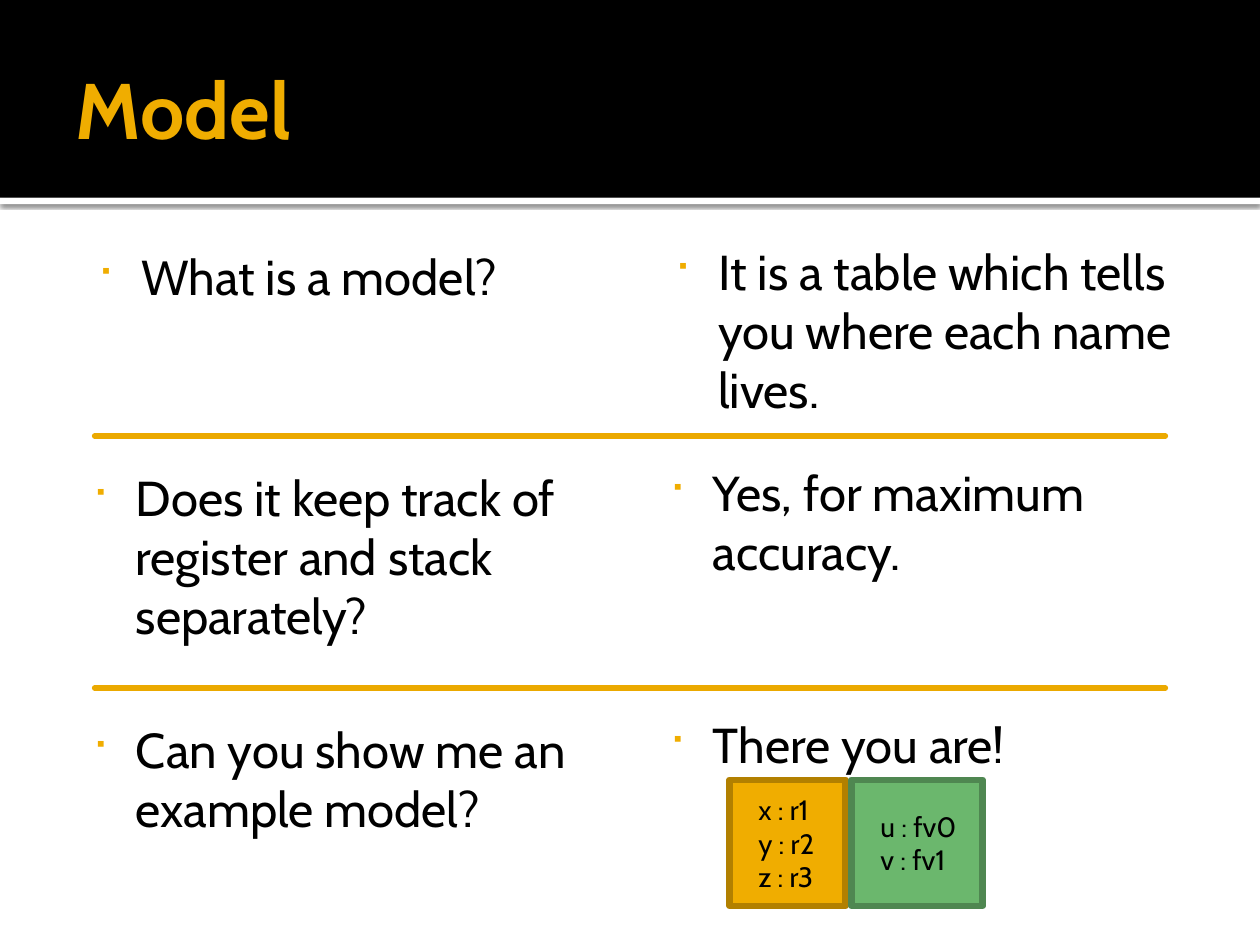
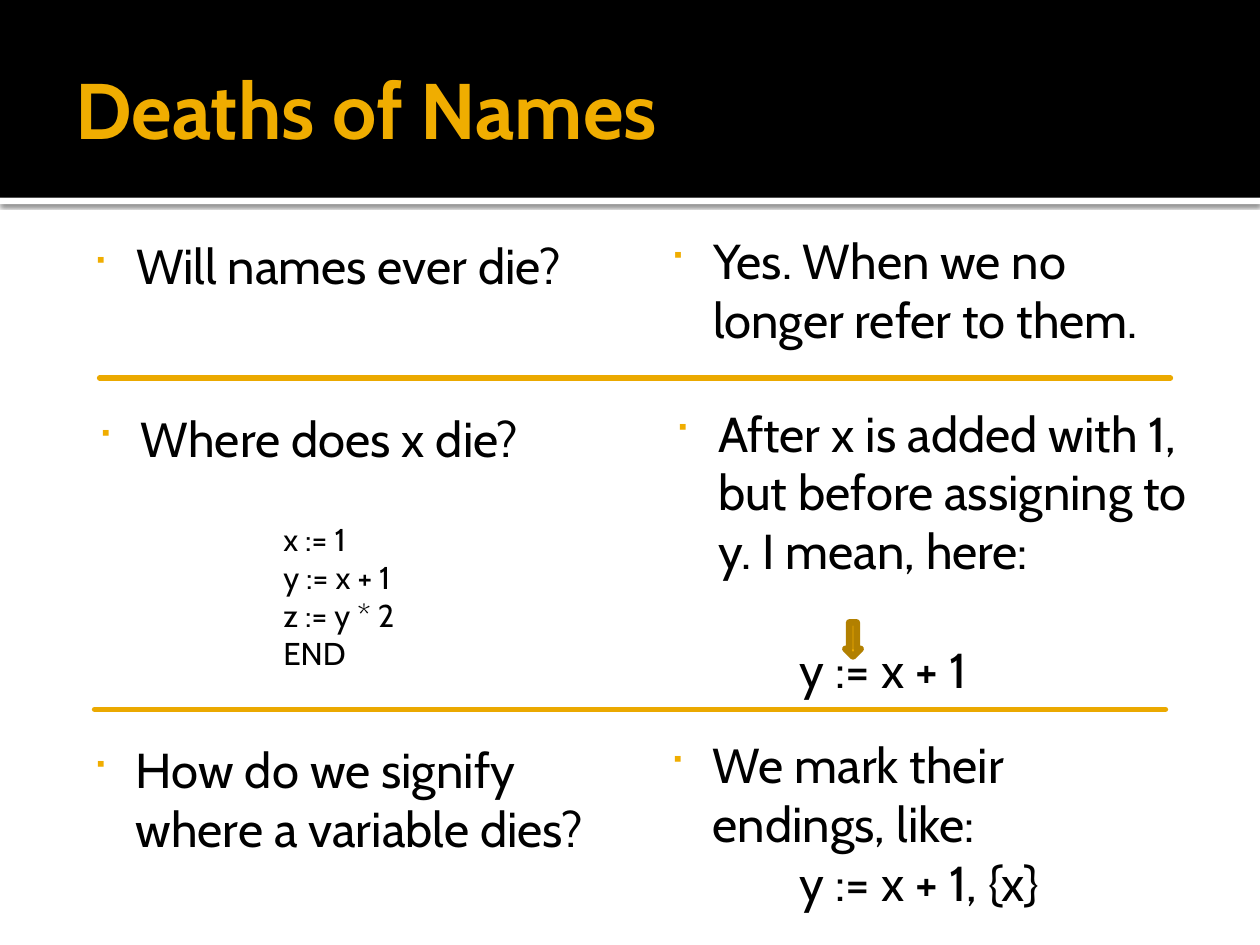
from dataclasses import dataclass

from lxml import etree
from pptx import Presentation
from pptx.dml.color import RGBColor
from pptx.enum import shapes, text
from pptx.oxml import ns
from pptx.util import Inches, Pt

FONT = "Cabin"
BLACK, WHITE = "000000", "FFFFFF"
GOLD, DARK_GOLD, RULE_GOLD = "F0AD00", "B28000", "EBA900"
GREEN, DARK_GREEN = "6BB76D", "4F8751"
BAND_HEIGHT = 1.57
ROW_WIDTH = 8.5
COLUMN_WIDTH, COLUMN_STEP = 4.42, 4.58
ANSWER_RISE = 0.04
LABEL_INDENT = 0.13


@dataclass
class CodeLine:
    """Unbulleted line below an answer."""
    words: str
    indent: float
    gap: float = 0


@dataclass
class Row:
    left: float
    top: float
    question: str
    answer: str
    height: float = 1.56
    code: CodeLine | None = None


@dataclass
class Label:
    left: float
    top: float
    width: float
    height: float
    lines: list[str]
    size: float
    fill: str | None = None
    edge: str | None = None


@dataclass
class Lesson:
    title: str
    rows: list[Row]
    rules: list[tuple[float, float]]
    labels: list[Label]
    arrow: tuple[float, float] | None = None


LESSONS = [
    Lesson(
        "Model",
        [
            Row(0.54, 1.86, "What is a model?",
                "It is a table which tells you where each name lives."),
            Row(0.5, 3.61, "Does it keep track of register and stack separately?",
                "Yes, for maximum accuracy."),
            Row(0.5, 5.61, "Can you show me an example model?", "There you are!"),
        ],
        [(0.75, 3.46), (0.75, 5.46)],
        [
            Label(5.79, 6.19, 0.92, 1, ["x : r1", "y : r2", "z : r3"], 16, GOLD, DARK_GOLD),
            Label(6.76, 6.19, 1.04, 1, ["u : fv0", "v : fv1"], 16, GREEN, DARK_GREEN),
        ],
    ),
    Lesson(
        "Deaths of Names",
        [
            Row(0.5, 1.77, "Will names ever die?",
                "Yes. When we no longer refer to them."),
            Row(0.54, 3.14, "Where does x die?",
                "After x is added with 1, but before assigning to y. I mean, here:",
                2.74, CodeLine("y := x + 1", 1.13, 34)),
            Row(0.5, 5.77, "How do we signify where a variable dies?",
                "We mark their endings, like:",
                code=CodeLine("y := x + 1, {x}", 1.17)),
        ],
        [(0.79, 3), (0.75, 5.63)],
        [Label(2.02, 4.08, 1.5, 1.31, ["x := 1", "y := x + 1", "z := y * 2", "END"], 18)],
        (6.71, 4.94),
    ),
]


def color(code: str) -> RGBColor:
    return RGBColor.from_string(code)


def add_element(parent, tag: str, **attributes):
    return etree.SubElement(parent, ns.qn(tag), attributes)


def place(box, left: float, top: float, width: float, height: float) -> None:
    box.left, box.top = Inches(left), Inches(top)
    box.width, box.height = Inches(width), Inches(height)


def set_frame(frame, anchor, left=0.1, top=0.05, right=0.1, bottom=0.05) -> None:
    frame.word_wrap = True
    frame.auto_size = text.MSO_AUTO_SIZE.NONE
    frame.vertical_anchor = anchor
    frame.margin_left, frame.margin_top = Inches(left), Inches(top)
    frame.margin_right, frame.margin_bottom = Inches(right), Inches(bottom)


def write(para, words: str, size: float, indent: float = 0, hanging: float = 0,
          gap: float = 0, ink: str = BLACK, bold: bool = False) -> None:
    """Fill a paragraph; a hanging indent brings a square bullet."""
    para.text = words
    para.alignment = text.PP_ALIGN.LEFT
    para.space_before = Pt(gap)
    properties = para._p.get_or_add_pPr()
    properties.set("marL", str(Inches(indent)))
    properties.set("indent", str(-Inches(hanging)))
    if hanging:
        add_element(add_element(properties, "a:buClr"), "a:srgbClr", val=GOLD)
        add_element(properties, "a:buSzPct", val="80000")
        add_element(properties, "a:buFont", typeface="Wingdings")
        add_element(properties, "a:buChar", char="■")
    else:
        add_element(properties, "a:buNone")
    para.font.name, para.font.size, para.font.bold = FONT, Pt(size), bold
    para.font.color.rgb = color(ink)


def add_block(page, kind, left: float, top: float, width: float, height: float,
              fill: str, edge: str | None = None):
    block = page.shapes.add_shape(
        kind, Inches(left), Inches(top), Inches(width), Inches(height))
    block.shadow.inherit = False
    block.fill.solid()
    block.fill.fore_color.rgb = color(fill)
    if edge:
        block.line.color.rgb = color(edge)
        block.line.width = Pt(3.78)
    else:
        block.line.fill.background()
    return block


def add_header(page, title: str) -> None:
    # Black band over a white strip with a soft shadow, behind the title
    rectangle = shapes.MSO_SHAPE.RECTANGLE
    band = add_block(page, rectangle, 0, 0, 10, BAND_HEIGHT, BLACK)
    strip = add_block(page, rectangle, 0, BAND_HEIGHT, 10, 0.05, WHITE)
    effects = strip._element.spPr.find(ns.qn("a:effectLst"))
    shadow = add_element(effects, "a:outerShdw", blurRad=str(Pt(2.5)),
                         dist=str(Pt(0.8)), dir="5400000", rotWithShape="0")
    shade = add_element(shadow, "a:srgbClr", val=BLACK)
    add_element(shade, "a:alpha", val="60000")
    for block in (band, strip):
        page.shapes._spTree.insert(2, block._element)

    box = page.shapes.title
    place(box, 0.5, 0.17, 9, 1.37)
    set_frame(box.text_frame, text.MSO_ANCHOR.MIDDLE, right=0.05)
    write(box.text_frame.paragraphs[0], title, 45, ink=GOLD, bold=True)


def add_rule(page, left: float, top: float) -> None:
    rule = page.shapes.add_connector(
        shapes.MSO_CONNECTOR.STRAIGHT, Inches(left), Inches(top),
        Inches(left + ROW_WIDTH), Inches(top))
    rule.line.color.rgb = color(RULE_GOLD)
    rule.line.width = Pt(3)
    rule.line._get_or_add_ln().set("cap", "rnd")
    add_element(rule._element.spPr, "a:effectLst")


def add_row(page, row: Row, slots: list) -> None:
    """Question on the left, answer on the right; body placeholders go first."""
    for column, words in enumerate((row.question, row.answer)):
        box = slots.pop(0) if slots else page.shapes.add_textbox(0, 0, 0, 0)
        place(box, row.left + column * COLUMN_STEP, row.top - column * ANSWER_RISE,
              COLUMN_WIDTH, row.height)
        frame = box.text_frame
        set_frame(frame, text.MSO_ANCHOR.TOP, top=0.1)
        write(frame.paragraphs[0], words, 28, 0.48, 0.35)
        if column and row.code:
            write(frame.add_paragraph(), row.code.words, 28, row.code.indent,
                  gap=row.code.gap)


def add_label(page, label: Label) -> None:
    area = (label.left, label.top, label.width, label.height)
    if label.fill:
        box = add_block(page, shapes.MSO_SHAPE.RECTANGLE, *area, label.fill, label.edge)
        anchor = text.MSO_ANCHOR.MIDDLE
    else:
        box = page.shapes.add_textbox(*map(Inches, area))
        anchor = text.MSO_ANCHOR.TOP
    frame = box.text_frame
    set_frame(frame, anchor)
    for number, words in enumerate(label.lines):
        para = frame.add_paragraph() if number else frame.paragraphs[0]
        write(para, words, label.size, LABEL_INDENT)


def add_lesson(deck, lesson: Lesson) -> None:
    page = deck.slides.add_slide(deck.slide_layouts.get_by_name("Two Content"))
    slots = [box for box in page.placeholders if box.placeholder_format.idx]
    add_header(page, lesson.title)
    for left, top in lesson.rules:
        add_rule(page, left, top)
    for row in lesson.rows:
        add_row(page, row, slots)
    for label in lesson.labels:
        add_label(page, label)
    if lesson.arrow:
        add_block(page, shapes.MSO_SHAPE.DOWN_ARROW, *lesson.arrow, 0.12, 0.27,
                  GOLD, DARK_GOLD)


def main() -> None:
    deck = Presentation()
    deck.slide_width, deck.slide_height = Inches(10), Inches(7.5)
    for lesson in LESSONS:
        add_lesson(deck, lesson)
    deck.save("out.pptx")


if __name__ == "__main__":
    main()
